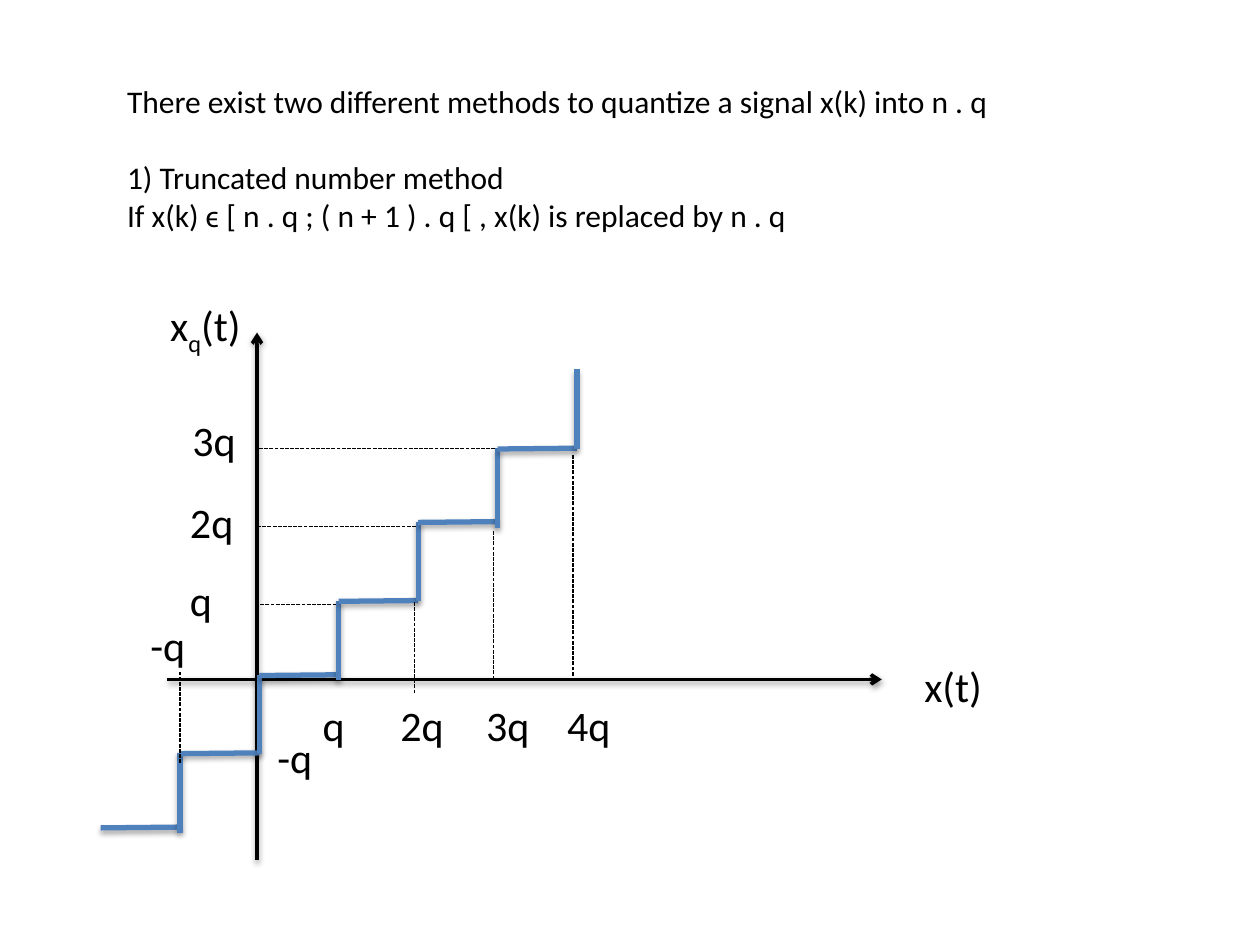
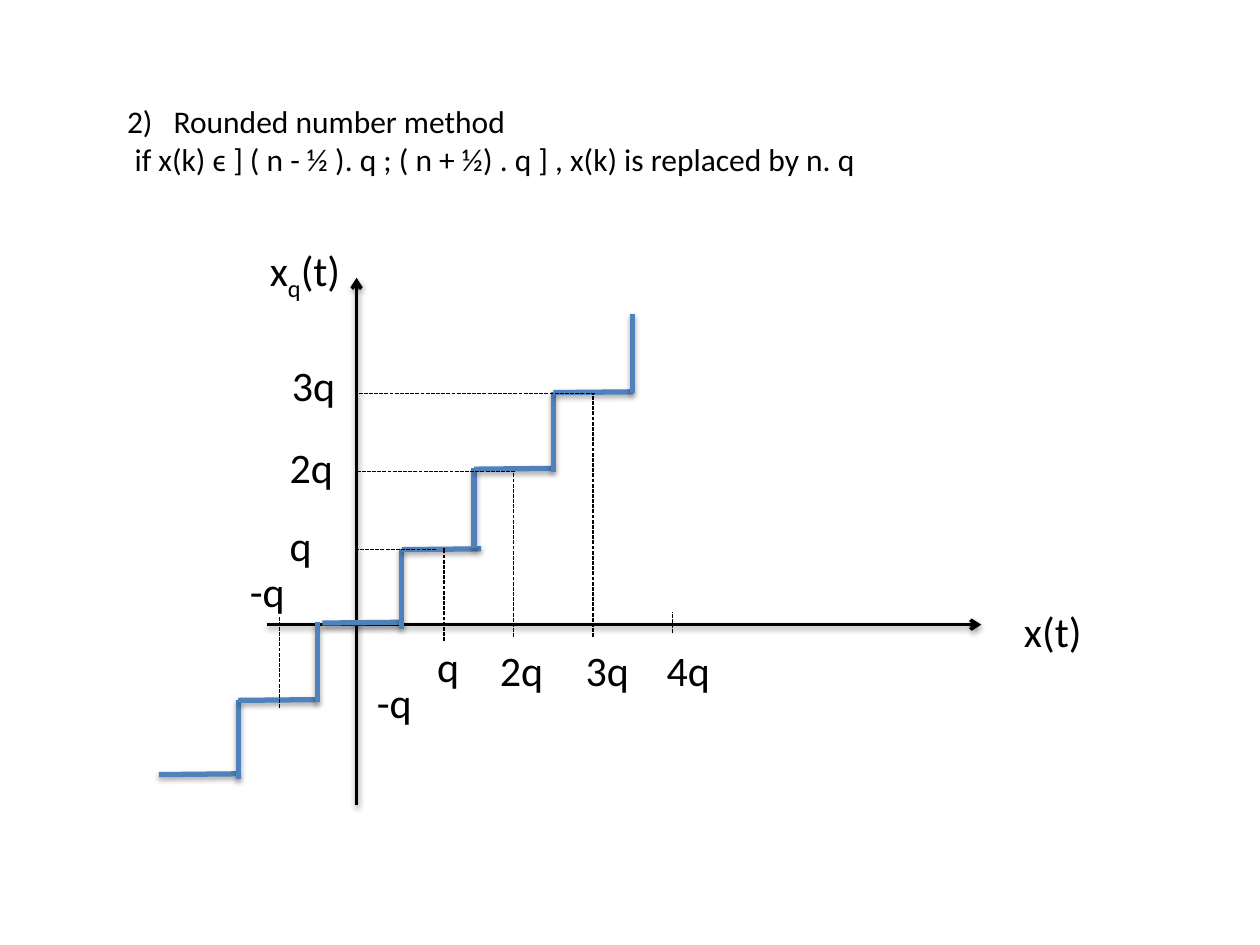
import pptx
import pptx.util
import pptx.dml.color
import pptx.enum.dml
import pptx.enum.shapes
import pptx.oxml
import pptx.oxml.ns

WIDE, HIGH = 10, 7.5
CELL_X, CELL_Y = 0.63, 0.62  # one quantum q on each axis
FONT = "Calibri"
INK = {"text": "000000", "axis": "000000", "guide": "000000", "step": "4F81BD"}
EMU = 12700
SPACE = pptx.oxml.ns.nsdecls("a")

inch = pptx.util.Inches
point = pptx.util.Pt


def tone(name):
    return pptx.dml.color.RGBColor.from_string(INK[name])


def text(slide, x, y, wide, high, paras, size=24):
    """Each paragraph is a dict: runs as (words, is_sub), and optional gaps."""
    frame = slide.shapes.add_textbox(inch(x), inch(y), inch(wide), inch(high)).text_frame
    frame.word_wrap = True
    for i, item in enumerate(paras):
        para = frame.add_paragraph() if i else frame.paragraphs[0]
        left, hang = item.get("left", 0), item.get("hang", 0)
        if left:
            props = para._p.get_or_add_pPr()
            props.set("marL", str(inch(left)))
            props.set("indent", str(-inch(hang)))
            if hang:
                props.append(pptx.oxml.parse_xml(
                    f'<a:tabLst {SPACE}><a:tab pos="{inch(left)}" algn="l"/></a:tabLst>'))
        if "before" in item:
            para.space_before = point(item["before"])
        for words, sub in item["runs"]:
            run = para.add_run()
            run.text = words
            run.font.name, run.font.size = FONT, point(size)
            run.font.color.rgb = tone("text")
            if sub:
                run.font._element.set("baseline", "-25000")


def para(words, **gaps):
    return {"runs": [(words, False)], **gaps}


class Plot:
    """Places things in cells of q from an origin, with y upwards."""

    def __init__(self, slide, left, top):
        self.slide, self.left, self.top = slide, left * WIDE, top * HIGH

    def spot(self, x, y):
        return self.left + x * CELL_X, self.top - y * CELL_Y

    def line(self, start, end, name, width, shade=None, dash=False, arrow=False):
        """shade is the shadow's (distance in points, opacity in percent)."""
        ends = [inch(v) for v in self.spot(*start) + self.spot(*end)]
        link = self.slide.shapes.add_connector(
            pptx.enum.shapes.MSO_CONNECTOR.STRAIGHT, *ends)
        link.line.color.rgb = tone(name)
        link.line.width = point(width)
        if dash:
            link.line.dash_style = pptx.enum.dml.MSO_LINE.SQUARE_DOT
        if arrow:
            link.line._get_or_add_ln().append(
                pptx.oxml.parse_xml(f'<a:tailEnd {SPACE} type="arrow"/>'))
        drop = ""
        if shade:
            far, dark = shade
            drop = (f'<a:outerShdw blurRad="{int(3.1 * EMU)}" dist="{int(far * EMU)}" '
                    f'dir="5400000" rotWithShape="0"><a:srgbClr val="000000">'
                    f'<a:alpha val="{dark * 1000}"/></a:srgbClr></a:outerShdw>')
        link._element.spPr.append(
            pptx.oxml.parse_xml(f'<a:effectLst {SPACE}>{drop}</a:effectLst>'))

    def label(self, words, x, y, wide=0.94):
        runs = words if isinstance(words, list) else [(words, False)]
        text(self.slide, *self.spot(x, y), wide, 0.5, [{"runs": runs}])

    def axes(self):
        for start, end in [((-1.13, 0), (7.87, 0)), ((0, -2.31), (0, 4.44))]:
            self.line(start, end, "axis", 2, shade=(1.6, 38), arrow=True)
        self.label("x(t)", 8.25, 0.32, wide=1.18)
        self.label([("x", False), ("q", True), ("(t)", False)], -1.25, 4.94, wide=1.02)

    def stairs(self, starts, levels):
        """Draw a tread at each level, then the riser up to the next level."""
        for i, x in enumerate(starts):
            y, rise = levels[i], levels[i + 1]
            edge = min([x + 1] + starts[i + 1:i + 2])
            for start, end in [((x, y - 0.01), (x + 1, y)),
                               ((edge, rise - 1.02), (edge, rise))]:
                self.line(start, end, "step", 3, shade=(1.8, 35))

    def guides(self, drops):
        """drops lists (x, bottom, top) of the upright guides."""
        for n in (1, 2, 3):
            self.line((n, n - 0.04), (0, n - 0.04), "guide", 0.75, dash=True)
        for x, low, high in drops + [(-0.97, -1.07, 0.1)]:
            self.line((x, low), (x, high), "guide", 0.75, dash=True)

    def marks(self, first):
        """first places the q mark below the x axis."""
        self.label("q", *first)
        for words, x, y in [("2q", 1.65, -0.18), ("3q", 2.73, -0.18), ("4q", 3.75, -0.18),
                            ("q", -1, 1.42), ("2q", -1, 2.42), ("3q", -0.97, 3.47),
                            ("-q", 0.1, -0.59), ("-q", -1.5, 0.84)]:
            self.label(words, x, y)


def graph(slide, origin, starts, levels, drops, first):
    plot = Plot(slide, *origin)
    plot.axes()
    plot.stairs(starts, levels)
    plot.guides(drops)
    plot.marks(first)


def main():
    deck = pptx.Presentation()
    deck.slide_width, deck.slide_height = inch(WIDE), inch(HIGH)
    blank = deck.slide_layouts[6]

    slide = deck.slides.add_slide(blank)
    text(slide, 0.91, 0.6, 7.72, 1.92, [
        para("There exist two different methods to quantize a signal x(k) into n . q"),
        para("1) Truncated number method", before=22),
        para("If x(k) ϵ [ n . q ; ( n + 1 ) . q [ , x(k) is replaced by n . q"),
    ], size=18)
    graph(slide, (0.204, 0.719),
          starts=[i - 1.97 for i in range(6)],
          levels=[-1.89, -0.94, 0.06, 1.01, 2.02, 2.96, 3.97],
          drops=[(1.98, -0.18, 1), (2.98, 0, 1.9), (3.98, 0.05, 2.87)],
          first=(0.67, -0.18))

    slide = deck.slides.add_slide(blank)
    text(slide, 0.91, 0.76, 6.69, 1.01, [
        para("2)\tRounded number method", left=0.37, hang=0.37),
        para("if x(k) ϵ ] ( n - ½ ). q ; ( n + ½) . q ] , x(k) is replaced by n. q", left=0.06),
    ], size=18)
    graph(slide, (0.283, 0.661),
          starts=[-2.49, -1.49, -0.43, 0.57, 1.48, 2.48],
          levels=[-1.91, -0.96, 0.03, 0.97, 2, 2.98, 3.98],
          drops=[(1.1, -0.21, 0.98), (1.98, -0.16, 1.97),
                 (2.98, -0.16, 2.97), (3.98, -0.11, 0.16)],
          first=(0.86, -0.13))

    deck.save("out.pptx")


if __name__ == "__main__":
    main()
